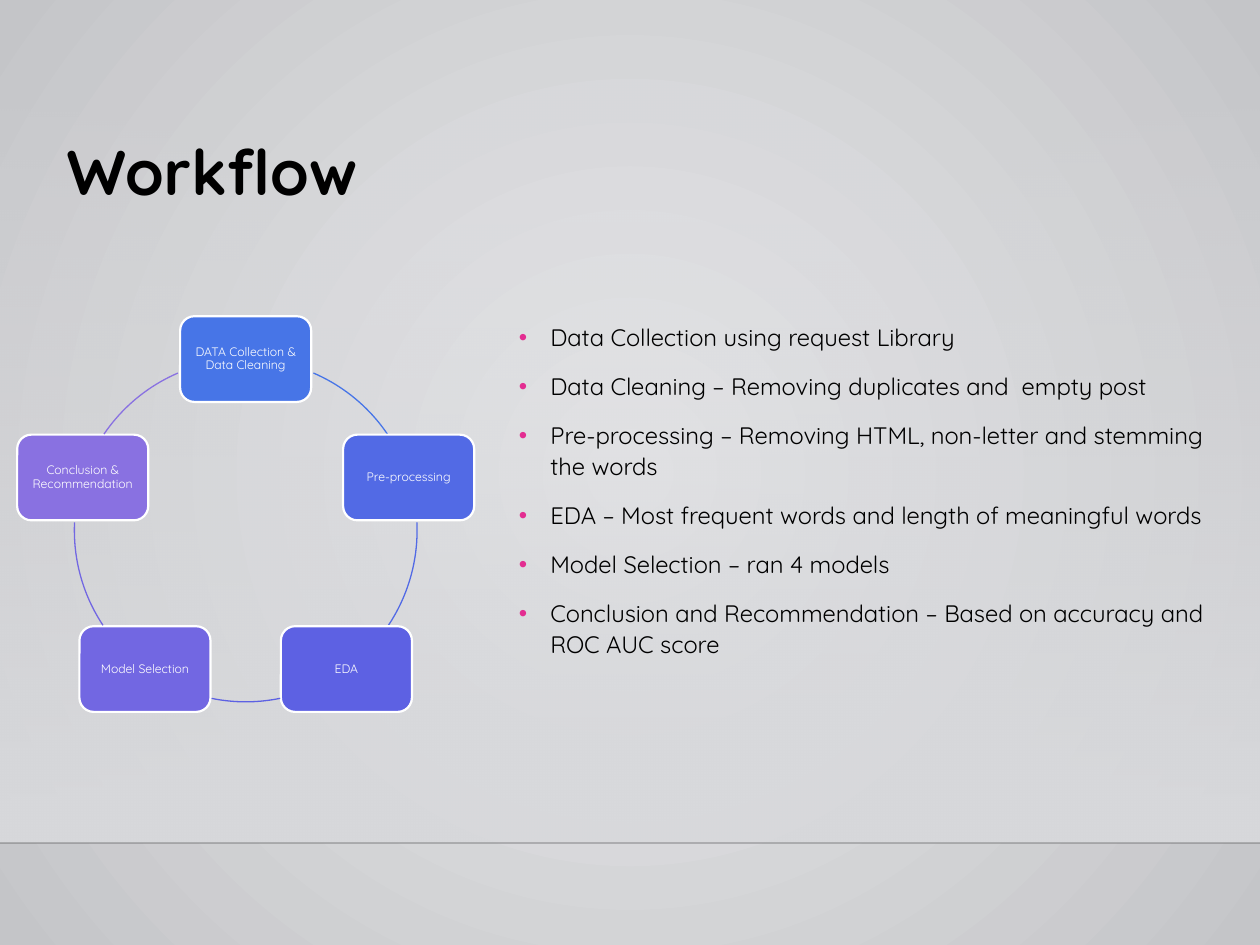
import math

from lxml import etree
from pptx import Presentation
from pptx import util as u
from pptx.dml.color import RGBColor
from pptx.enum import shapes, text
from pptx.oxml import parse_xml
from pptx.oxml.ns import nsdecls, qn

WIDTH, HEIGHT = 10, 7.5
FONT = "Quicksand"
FLOOR = 6.69
CENTRE_X, CENTRE_Y, RADIUS = 1.95, 4.21, 1.36
NODE_WIDTH, NODE_HEIGHT = 1.04, 0.68

# Step label, colour, and the start and end angle of the arc after it
STEPS = [
    ("DATA Collection & Data Cleaning", "4775E7", 293.3, 325.8),
    ("Pre-processing", "526AE5", 357.3, 33.6),
    ("EDA", "5D61E3", 78.4, 101.6),
    ("Model Selection", "7267E2", 146.4, 182.7),
    ("Conclusion & Recommendation", "8971E1", 214.2, 246.7),
]
POINTS = [
    "Data Collection using request Library",
    "Data Cleaning – Removing duplicates and  empty post",
    "Pre-processing – Removing HTML, non-letter and stemming the words",
    "EDA – Most frequent words and length of meaningful words",
    "Model Selection – ran 4 models",
    "Conclusion and Recommendation – Based on accuracy and ROC AUC score",
]


def colour(hex_code):
    return RGBColor.from_string(hex_code)


def inches(*lengths):
    return [u.Inches(length) for length in lengths]


def set_gradient(owner, stops, direction):
    """Replace the owner's gradient; a stop is (position, colour, opacity) in percent."""
    old = owner.find(".//" + qn("a:gradFill"))
    marks = "".join(
        f'<a:gs pos="{place * 1000}"><a:srgbClr val="{code}">'
        f'<a:alpha val="{opacity * 1000}"/></a:srgbClr></a:gs>'
        for place, code, opacity in stops
    )
    new = parse_xml(
        f'<a:gradFill {nsdecls("a")} rotWithShape="1">'
        f"<a:gsLst>{marks}</a:gsLst>{direction}</a:gradFill>"
    )
    old.getparent().replace(old, new)


def set_font(para, size, hex_code, bold=False):
    para.font.name = FONT
    para.font.size = u.Pt(size)
    para.font.bold = bold
    para.font.color.rgb = colour(hex_code)


def add_backdrop(page):
    page.background.fill.gradient()
    set_gradient(
        page.element,
        [(0, "E9E9EB", 100), (100, "C4C5C8", 100)],
        '<a:path path="circle">'
        '<a:fillToRect l="50000" t="50000" r="50000" b="50000"/></a:path>',
    )
    wall = page.shapes.add_shape(
        shapes.MSO_SHAPE.RECTANGLE, *inches(0, 0.51, WIDTH, FLOOR - 0.51)
    )
    wall.shadow.inherit = False
    wall.line.fill.background()
    wall.fill.gradient()
    set_gradient(
        wall.element,
        [(0, "D8D9DC", 0), (100, "DADBDE", 100)],
        '<a:lin ang="5400000" scaled="0"/>',
    )


def add_floor_line(page):
    line = page.shapes.add_connector(
        shapes.MSO_CONNECTOR.STRAIGHT, *inches(0, FLOOR, WIDTH, FLOOR)
    )
    line.line.width = u.Pt(1)
    line.line.color.rgb = colour("000001")
    ink = line.element.spPr.find(".//" + qn("a:srgbClr"))
    etree.SubElement(ink, qn("a:alpha")).set("val", "20000")
    etree.SubElement(line.element.spPr, qn("a:effectLst"))


def add_node(page, label, fill, angle):
    x = CENTRE_X + RADIUS * math.cos(angle)
    y = CENTRE_Y + RADIUS * math.sin(angle)
    node = page.shapes.add_shape(
        shapes.MSO_SHAPE.ROUNDED_RECTANGLE,
        *inches(x - NODE_WIDTH / 2, y - NODE_HEIGHT / 2, NODE_WIDTH, NODE_HEIGHT),
    )
    node.shadow.inherit = False
    node.fill.solid()
    node.fill.fore_color.rgb = colour(fill)
    node.line.color.rgb = colour("FFFFFF")
    node.line.width = u.Pt(1.25)
    frame = node.text_frame
    frame.word_wrap = True
    frame.vertical_anchor = text.MSO_ANCHOR.MIDDLE
    frame.margin_left = frame.margin_right = u.Inches(0.03)
    frame.margin_top = frame.margin_bottom = u.Inches(0.03)
    para = frame.paragraphs[0]
    para.text = label
    para.alignment = text.PP_ALIGN.CENTER
    para.line_spacing = 0.9
    set_font(para, 7, "FFFFFF")


def add_arc(page, hex_code, start, end):
    arc = page.shapes.add_shape(
        shapes.MSO_SHAPE.ARC,
        *inches(CENTRE_X - RADIUS, CENTRE_Y - RADIUS, 2 * RADIUS, 2 * RADIUS),
    )
    arc.shadow.inherit = False
    arc.fill.background()
    arc.line.color.rgb = colour(hex_code)
    arc.line.width = u.Pt(0.75)
    # Angles are kept in 60000ths of a degree, adjustments in 100000ths
    for index, degrees in enumerate((start, end)):
        arc.adjustments[index] = degrees * 0.6


def add_cycle(page):
    for index, (label, hex_code, start, end) in enumerate(STEPS):
        turn = 2 * math.pi * index / len(STEPS)
        add_node(page, label, hex_code, turn - math.pi / 2)
        add_arc(page, hex_code, start, end)


def add_frame(page, *place):
    frame = page.shapes.add_textbox(*inches(*place)).text_frame
    frame.word_wrap = True
    return frame


def add_title(page, title):
    para = add_frame(page, 0.43, 1, 8.11, 0.71).paragraphs[0]
    para.text = title
    set_font(para, 36, "000000", bold=True)


def set_bullet(para, hex_code):
    props = para._p.get_or_add_pPr()
    props.set("marL", str(u.Inches(0.25)))
    props.set("indent", str(-u.Inches(0.25)))
    tint = etree.SubElement(props, qn("a:buClr"))
    etree.SubElement(tint, qn("a:srgbClr")).set("val", hex_code)
    etree.SubElement(props, qn("a:buFont")).set("typeface", "Arial")
    etree.SubElement(props, qn("a:buChar")).set("char", "•")


def add_points(page):
    frame = add_frame(page, 4.02, 2.49, 5.87, 3.18)
    for index, point in enumerate(POINTS):
        para = frame.add_paragraph() if index else frame.paragraphs[0]
        para.text = point
        para.line_spacing = 1.1
        para.space_before = u.Pt(10)
        set_bullet(para, "E32D91")
        set_font(para, 13.6, "000000")


def main():
    deck = Presentation()
    deck.slide_width, deck.slide_height = inches(WIDTH, HEIGHT)
    page = deck.slides.add_slide(deck.slide_layouts[6])
    add_backdrop(page)
    add_floor_line(page)
    add_cycle(page)
    add_title(page, "Workflow")
    add_points(page)
    deck.save("out.pptx")


if __name__ == "__main__":
    main()
